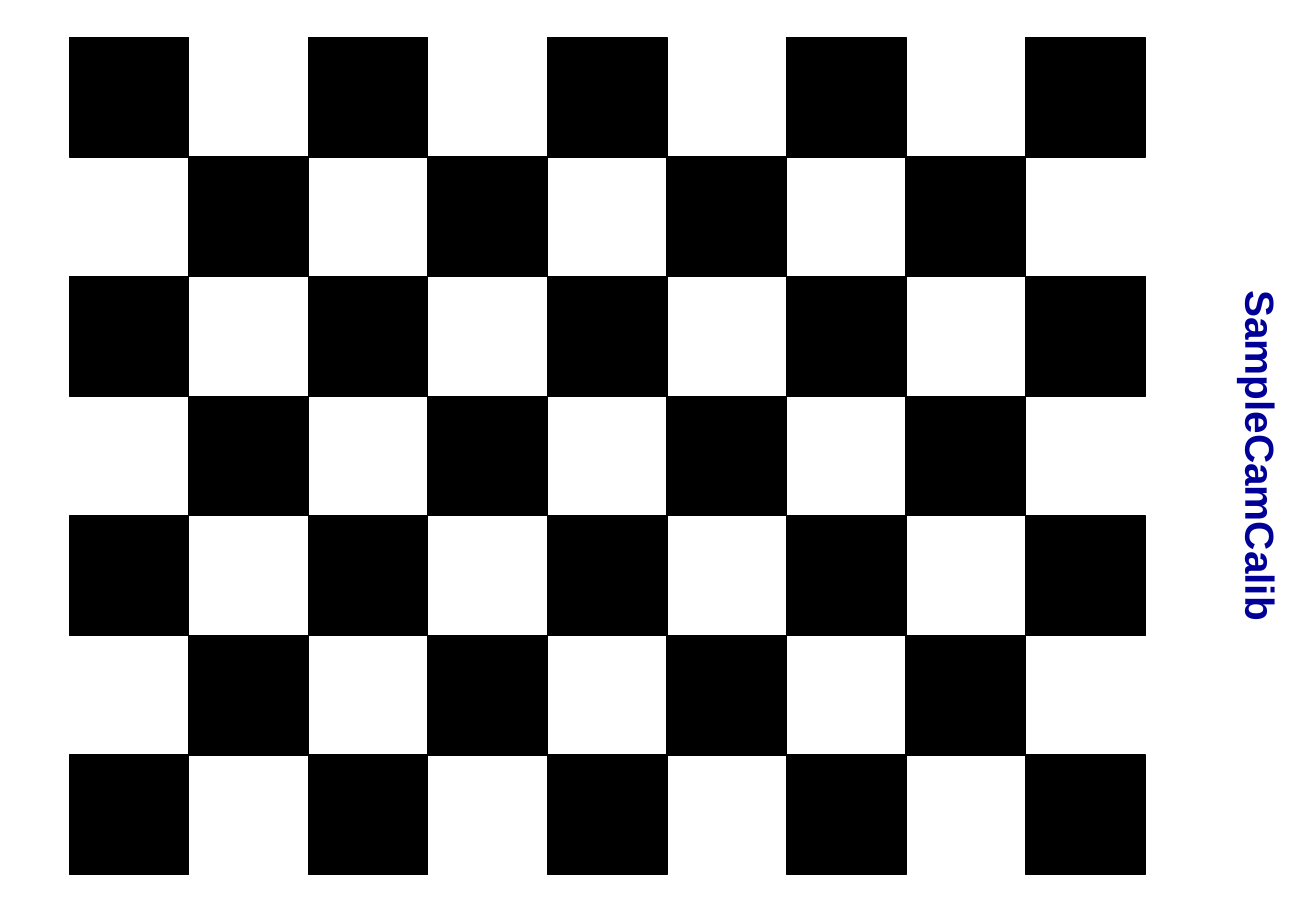
from dataclasses import dataclass
from typing import Iterator

from pptx import Presentation
from pptx.dml.color import RGBColor
from pptx.enum.shapes import MSO_SHAPE
from pptx.enum.text import MSO_AUTO_SIZE, PP_ALIGN
from pptx.shapes.group import GroupShape
from pptx.slide import Slide
from pptx.util import Pt

BLACK = RGBColor(0x00, 0x00, 0x00)
NAVY = RGBColor(0x00, 0x00, 0x99)

SLIDE_WIDTH = 780.48
SLIDE_HEIGHT = 540
BOARD_LEFT = 41.1
BOARD_TOP = 22.2
SQUARE_SIZE = 70.9
ROWS = 7
COLUMNS = 9


@dataclass(frozen=True)
class Square:
    row: int
    column: int

    @property
    def left(self) -> float:
        return BOARD_LEFT + self.column * SQUARE_SIZE

    @property
    def top(self) -> float:
        return BOARD_TOP + self.row * SQUARE_SIZE


def black_squares() -> Iterator[Square]:
    for row in range(ROWS):
        for column in range(row % 2, COLUMNS, 2):
            yield Square(row, column)


def draw_square(board: GroupShape, square: Square) -> None:
    shape = board.shapes.add_shape(
        MSO_SHAPE.RECTANGLE,
        Pt(square.left),
        Pt(square.top),
        Pt(SQUARE_SIZE),
        Pt(SQUARE_SIZE),
    )
    shape.shadow.inherit = False
    shape.fill.solid()
    shape.fill.fore_color.rgb = BLACK
    shape.line.color.rgb = BLACK
    shape.line.width = Pt(0.75)


def draw_title(slide: Slide, text: str) -> None:
    title = slide.shapes.add_textbox(Pt(478.1), Pt(252), Pt(540), Pt(36))
    title.rotation = 90
    frame = title.text_frame
    frame.word_wrap = True
    frame.auto_size = MSO_AUTO_SIZE.SHAPE_TO_FIT_TEXT
    paragraph = frame.paragraphs[0]
    paragraph.text = text
    paragraph.alignment = PP_ALIGN.CENTER
    paragraph.font.name = "Arial"
    paragraph.font.size = Pt(24)
    paragraph.font.bold = True
    paragraph.font.color.rgb = NAVY


def main() -> None:
    presentation = Presentation()
    presentation.slide_width = Pt(SLIDE_WIDTH)
    presentation.slide_height = Pt(SLIDE_HEIGHT)
    slide = presentation.slides.add_slide(presentation.slide_layouts[6])
    draw_title(slide, "SampleCamCalib")
    board = slide.shapes.add_group_shape()
    for square in black_squares():
        draw_square(board, square)
    presentation.save("out.pptx")


if __name__ == "__main__":
    main()
